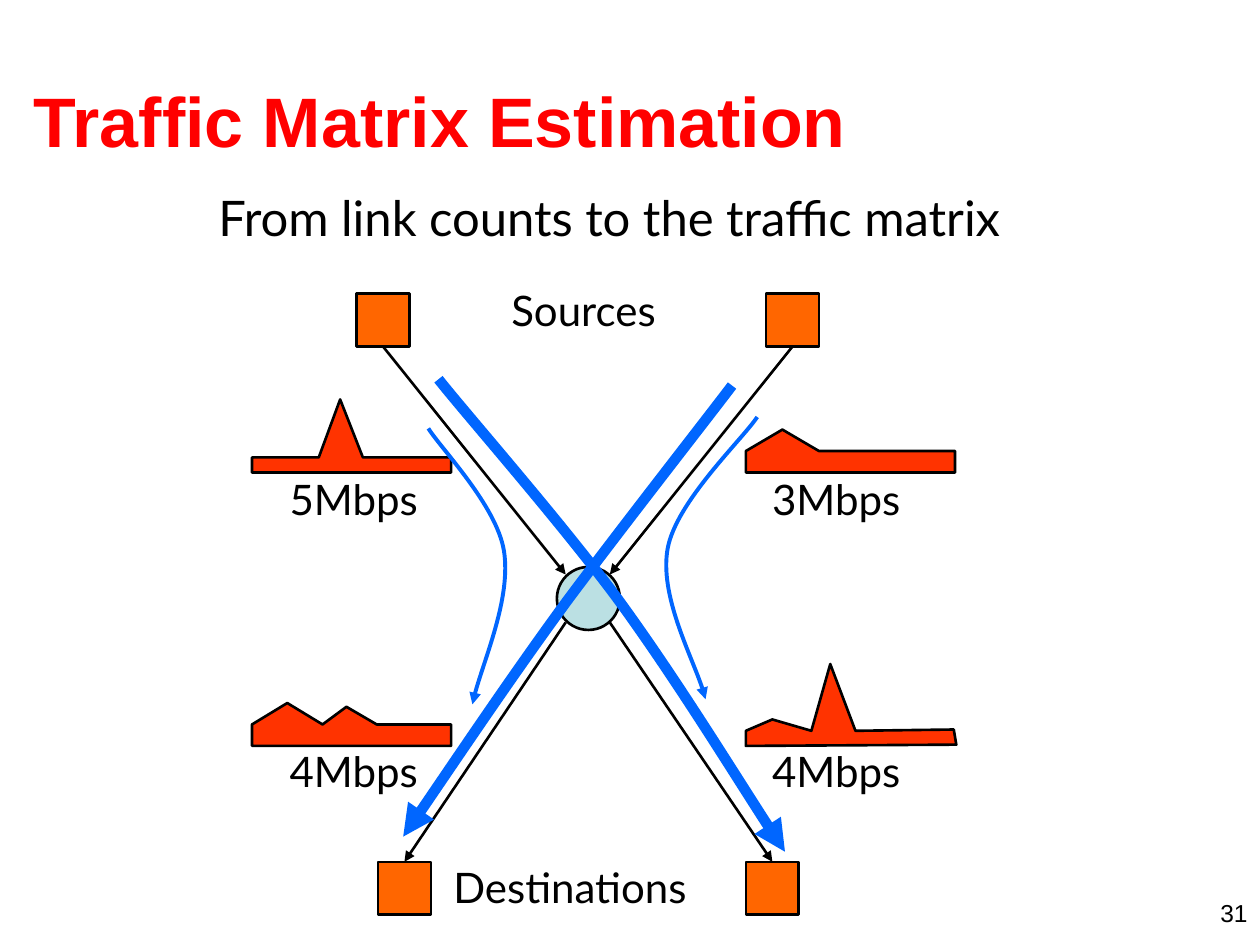
"""Build the traffic matrix estimation slide with its sources, links and flows."""
from dataclasses import dataclass
from typing import NamedTuple

import lxml.etree
import pptx
import pptx.dml.color
import pptx.enum.shapes
import pptx.enum.text
import pptx.oxml.ns
import pptx.shapes.autoshape
import pptx.shapes.base
import pptx.shapes.connector
import pptx.slide
import pptx.util

EMU_PER_PX = 9144
SHAPES = pptx.enum.shapes.MSO_SHAPE
ALIGN = pptx.enum.text.PP_ALIGN
ANCHOR = pptx.enum.text.MSO_ANCHOR
Point = tuple[int, int]


@dataclass(frozen=True)
class Theme:
    title_color: str = "FF0000"
    ink: str = "000000"
    host: str = "FF6600"
    router: str = "BBE0E3"
    load: str = "FF3300"
    flow: str = "0066FF"
    title_font: str = "Arial"
    body_font: str = "Lato"
    title_size: int = 40
    subtitle_size: int = 28
    label_size: int = 24
    number_size: int = 14
    outline: float = 1.5
    thin_flow: float = 2.25
    thick_flow: float = 6


THEME = Theme()


class Box(NamedTuple):
    left: int
    top: int
    width: int
    height: int


@dataclass(frozen=True)
class Label:
    text: str
    box: Box
    size: int = THEME.label_size
    font: str = THEME.body_font
    color: str = THEME.ink
    bold: bool = False
    align: ALIGN = ALIGN.LEFT
    anchor: ANCHOR = ANCHOR.TOP


@dataclass(frozen=True)
class Host:
    left: int
    top: int
    link_end: Point
    is_source: bool


@dataclass(frozen=True)
class Flow:
    points: tuple[Point, ...]
    width: float


HOST_SIZE = 42
ROUTER = Box(442, 450, 50, 50)

LABELS = (
    Label("Traffic Matrix Estimation", Box(17, 32, 958, 125), THEME.title_size,
          THEME.title_font, THEME.title_color, True, anchor=ANCHOR.MIDDLE),
    Label("From link counts to the traffic matrix", Box(140, 144, 687, 57),
          THEME.subtitle_size, align=ALIGN.CENTER),
    Label("Sources", Box(396, 221, 143, 50)),
    Label("Destinations", Box(350, 679, 216, 50)),
    Label("5Mbps", Box(220, 371, 126, 50)),
    Label("3Mbps", Box(603, 371, 126, 50)),
    Label("4Mbps", Box(220, 587, 126, 50)),
    Label("4Mbps", Box(603, 587, 126, 50)),
    Label("31", Box(767, 708, 233, 25), THEME.number_size, THEME.title_font,
          align=ALIGN.RIGHT),
)

HOSTS = (
    Host(283, 233, (449, 456), True),
    Host(608, 233, (484, 456), True),
    Host(300, 684, (449, 494), False),
    Host(592, 684, (484, 494), False),
)

LOADS = (
    ((200, 375), (200, 363), (253, 363), (270, 317), (288, 363), (358, 363), (358, 375)),
    ((592, 375), (592, 358), (621, 341), (650, 358), (758, 358), (758, 375)),
    ((200, 592), (200, 575), (228, 558), (256, 575), (275, 561), (299, 575),
     (358, 575), (358, 592)),
    ((592, 592), (592, 580), (613, 571), (644, 580), (659, 527), (679, 580),
     (757, 579), (759, 591)),
)

FLOWS = (
    Flow(((348, 301), (371, 330), (444, 413), (490, 475),
          (536, 538), (595, 634), (623, 676)), THEME.thick_flow),
    Flow(((581, 306), (559, 335), (494, 418), (450, 477),
          (406, 537), (347, 625), (320, 664)), THEME.thick_flow),
    Flow(((340, 340), (350, 356), (394, 401), (400, 437),
          (406, 474), (380, 533), (375, 559)), THEME.thin_flow),
    Flow(((601, 331), (589, 349), (537, 398), (530, 435),
          (523, 472), (554, 530), (560, 555)), THEME.thin_flow),
)


def px(length: int) -> pptx.util.Emu:
    return pptx.util.Emu(length * EMU_PER_PX)


def rgb(color: str) -> pptx.dml.color.RGBColor:
    return pptx.dml.color.RGBColor.from_string(color)


def set_line(shape: pptx.shapes.base.BaseShape, color: str, width: float) -> None:
    shape.line.color.rgb = rgb(color)
    shape.line.width = pptx.util.Pt(width)


def set_solid(shape: pptx.shapes.autoshape.Shape, color: str) -> None:
    shape.shadow.inherit = False
    shape.fill.solid()
    shape.fill.fore_color.rgb = rgb(color)
    set_line(shape, THEME.ink, THEME.outline)


def add_arrowhead(shape: pptx.shapes.base.BaseShape) -> None:
    line = shape.line._get_or_add_ln()
    lxml.etree.SubElement(line, pptx.oxml.ns.qn("a:tailEnd"), type="triangle")


def add_solid(slide: pptx.slide.Slide, kind: SHAPES, box: Box,
              color: str) -> pptx.shapes.autoshape.Shape:
    shape = slide.shapes.add_shape(kind, *map(px, box))
    set_solid(shape, color)
    return shape


def add_label(slide: pptx.slide.Slide, label: Label) -> None:
    frame = slide.shapes.add_textbox(*map(px, label.box)).text_frame
    frame.word_wrap = True
    frame.vertical_anchor = label.anchor
    paragraph = frame.paragraphs[0]
    paragraph.text = label.text
    paragraph.alignment = label.align
    paragraph.font.name = label.font
    paragraph.font.size = pptx.util.Pt(label.size)
    paragraph.font.bold = label.bold
    paragraph.font.color.rgb = rgb(label.color)


def add_host(slide: pptx.slide.Slide, host: Host) -> None:
    box = Box(host.left, host.top, HOST_SIZE, HOST_SIZE)
    square = add_solid(slide, SHAPES.RECTANGLE, box, THEME.host)
    x, y = map(px, host.link_end)
    link = slide.shapes.add_connector(pptx.enum.shapes.MSO_CONNECTOR.STRAIGHT, x, y, x, y)
    if host.is_source:
        link.begin_connect(square, 2)
    else:
        link.end_connect(square, 0)
    set_line(link, THEME.ink, THEME.outline)
    add_arrowhead(link)
    lxml.etree.SubElement(link.element.spPr, pptx.oxml.ns.qn("a:effectLst"))


def add_outline(slide: pptx.slide.Slide, points: tuple[Point, ...],
                close: bool) -> pptx.shapes.autoshape.Shape:
    builder = slide.shapes.build_freeform(*points[0], scale=EMU_PER_PX)
    builder.add_line_segments(points[1:], close=close)
    return builder.convert_to_shape()


def add_flow(slide: pptx.slide.Slide, flow: Flow) -> None:
    shape = add_outline(slide, flow.points, False)
    segments = shape.element.xpath(".//a:lnTo")
    for start in range(0, len(segments), 3):
        curve = lxml.etree.SubElement(segments[start].getparent(),
                                      pptx.oxml.ns.qn("a:cubicBezTo"))
        for segment in segments[start:start + 3]:
            curve.append(segment[0])
            segment.getparent().remove(segment)
    shape.shadow.inherit = False
    shape.fill.background()
    set_line(shape, THEME.flow, flow.width)
    add_arrowhead(shape)


def main() -> None:
    presentation = pptx.Presentation()
    presentation.slide_width, presentation.slide_height = px(1000), px(750)
    slide = presentation.slides.add_slide(presentation.slide_layouts[6])
    add_solid(slide, SHAPES.OVAL, ROUTER, THEME.router)
    for label in LABELS:
        add_label(slide, label)
    for host in HOSTS:
        add_host(slide, host)
    for load in LOADS:
        set_solid(add_outline(slide, load, True), THEME.load)
    for flow in FLOWS:
        add_flow(slide, flow)
    presentation.save("out.pptx")


if __name__ == "__main__":
    main()
